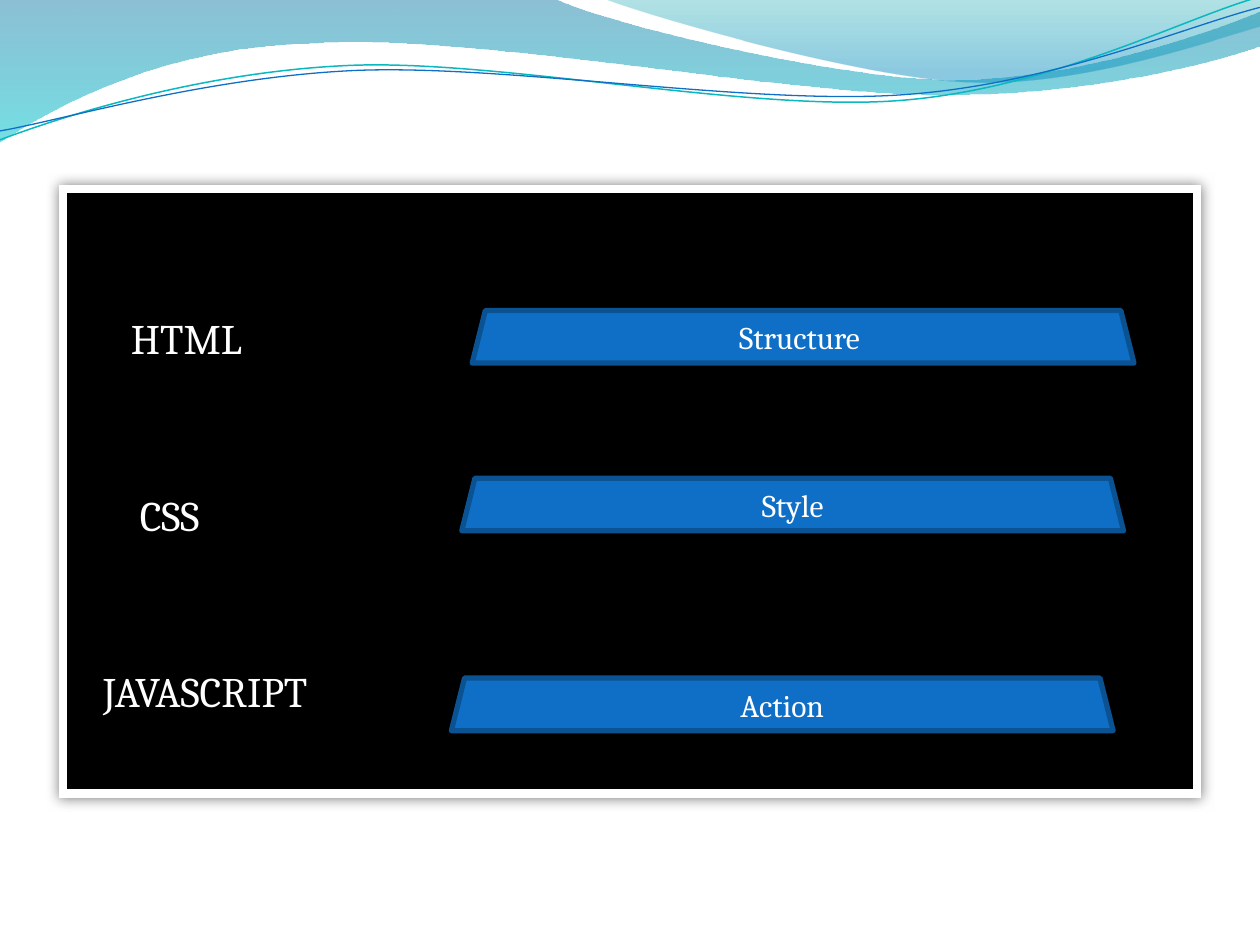
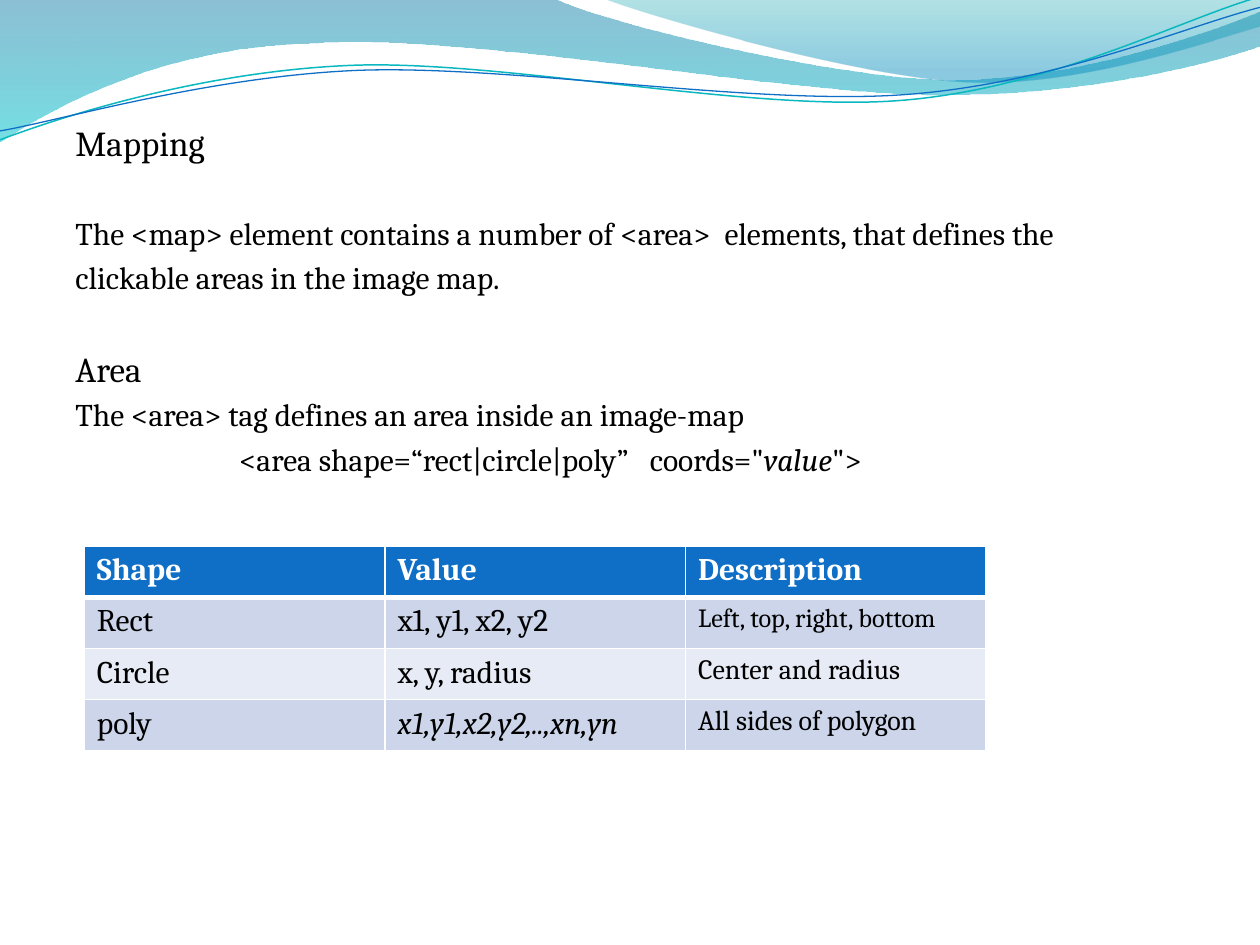
import pptx
import pptx.dml.color
import pptx.enum.shapes
import pptx.enum.text
import pptx.oxml
import pptx.oxml.ns
import pptx.util
from lxml import etree

Cm = pptx.util.Cm
Pt = pptx.util.Pt
RGBColor = pptx.dml.color.RGBColor
SHAPES = pptx.enum.shapes.MSO_SHAPE
ALIGN = pptx.enum.text.PP_ALIGN
ANCHOR = pptx.enum.text.MSO_ANCHOR
qn = pptx.oxml.ns.qn

FONT = "Cambria"
BLACK = RGBColor(0x00, 0x00, 0x00)
WHITE = RGBColor(0xFF, 0xFF, 0xFF)
BLUE = RGBColor(0x0F, 0x6F, 0xC6)
DARK_BLUE = RGBColor(0x0B, 0x52, 0x92)
TURQUOISE = RGBColor(0x0A, 0xB8, 0xBF)
WAVE_BLUE = RGBColor(0x00, 0x74, 0xA1)
WAVE_CYAN = RGBColor(0x00, 0xC6, 0xCF)
CREST_GREEN = RGBColor(0x00, 0xA1, 0xA9)
CREST_BLUE = RGBColor(0x00, 0x8B, 0xBF)
BAND_DARK = RGBColor(0xCC, 0xD5, 0xEA)
BAND_LIGHT = RGBColor(0xE7, 0xEB, 0xF5)

WAVES = [
    ((0, 0), [
        [(11.18, -0.03)],
        [(12.09, 0.43), (16.87, 1.6), (19.25, 1.6)],
        [(21.67, 1.6), (24.33, 0.66), (25.4, 0.23)],
        [(25.43, 0.91)],
        [(24.97, 1.12), (22.1, 1.93), (18.95, 1.91)],
        [(15.8, 1.91), (9.7, 0.71), (6.53, 0.86)],
        [(3.28, 0.91), (1.17, 2.11), (-0.03, 2.87)],
    ], [(0, WAVE_BLUE, 45), (1, WAVE_CYAN, 55)]),
    ((12.17, -0.03), [
        [(12.93, 0.28), (17.32, 1.57), (19.53, 1.65)],
        [(21.74, 1.75), (24.41, 0.81), (25.4, 0.53)],
        [(25.4, 0)],
    ], [(0, CREST_GREEN, 30), (0.8, CREST_BLUE, 45)]),
]
RIPPLES = [
    ((0, 2.82), [
        [(1.22, 2.36), (4.01, 1.45), (7.04, 1.32)],
        [(10.03, 1.19), (15.06, 2.26), (18.11, 2.03)],
        [(21.16, 1.8), (23.83, 0.38), (25.35, -0.05)],
    ], TURQUOISE, 0.85),
    ((0, 2.64), [
        [(1.19, 2.44), (4.17, 1.55), (7.19, 1.42)],
        [(10.24, 1.3), (15.16, 2.13), (18.21, 1.91)],
        [(21.23, 1.7), (23.9, 0.53), (25.4, 0.15)],
    ], BLUE, 0.75),
]

LANGUAGES = [
    ("HTML", {"indent": 1.12}),
    ("CSS", {"indent": 1.3, "before": 71.9}),
    ("JAVASCRIPT", {"indent": 0.56, "before": 71.9}),
]
ROLES = [("Structure ", 9.52, 6.26), ("Style", 9.31, 9.64), ("Action", 9.1, 13.67)]

AREA_CODE = [
    ("<area shape=“rect|circle|poly”", {}),
    (" ", {"spacing": 8}),
    ('coords="', {}),
    ("value", {"italic": True}),
    ('">', {}),
]
MAPPING = [
    ("Mapping", {"size": 20}),
    ("The <map> element contains a number of <area>  elements, that defines the", {"before": 28.9}),
    ("clickable areas in the image map.", {"before": 3.6}),
    ("Area", {"size": 20, "before": 29.4}),
    ("The <area> tag defines an area inside an image-map", {"before": 3.2}),
    (AREA_CODE, {"before": 4, "indent": 3.3}),
]

AREA_TABLE = [
    ["Shape", "Value", "Description"],
    ["Rect", "x1, y1, x2, y2", "Left, top, right, bottom"],
    ["Circle", "x, y, radius", "Center and radius"],
    ["poly", "x1,y1,x2,y2,..,xn,yn", "All sides of polygon"],
]
CELL_FORMATS = {
    (1, 2): {"size": 15},
    (2, 2): {"size": 16},
    (3, 1): {"italic": True},
    (3, 2): {"size": 16},
}
COLUMN_WIDTH, ROW_HEIGHT = 6.06, 1.03


def write_paragraph(paragraph, text, size=18, color=BLACK, bold=False, italic=False,
                    align=ALIGN.LEFT, before=0, indent=0):
    paragraph.alignment = align
    paragraph.space_before = Pt(before)
    if indent:
        paragraph._p.get_or_add_pPr().set("marL", str(Cm(indent)))
    pieces = [(text, {})] if isinstance(text, str) else text
    for words, style in pieces:
        run = paragraph.add_run()
        run.text = words
        run.font.name = FONT
        run.font.size = Pt(size)
        run.font.color.rgb = color
        run.font.bold = bold
        run.font.italic = style.get("italic", italic)
        if "spacing" in style:
            run._r.get_or_add_rPr().set("spc", str(style["spacing"] * 100))


def write_paragraphs(frame, paragraphs, **shared):
    frame.word_wrap = True
    for index, (text, style) in enumerate(paragraphs):
        paragraph = frame.add_paragraph() if index else frame.paragraphs[0]
        write_paragraph(paragraph, text, **{**shared, **style})


def add_block(slide, preset, left, top, width, height, fill, line, line_width):
    shape = slide.shapes.add_shape(preset, Cm(left), Cm(top), Cm(width), Cm(height))
    shape.shadow.inherit = False
    shape.fill.solid()
    shape.fill.fore_color.rgb = fill
    shape.line.color.rgb = line
    shape.line.width = Pt(line_width)
    return shape


def add_outline(slide, start, segments, close):
    builder = slide.shapes.build_freeform(Cm(start[0]), Cm(start[1]))
    points = [(Cm(x), Cm(y)) for segment in segments for x, y in segment]
    builder.add_line_segments(points, close=close)
    shape = builder.convert_to_shape()
    shape.shadow.inherit = False
    steps = iter(list(shape._element.spPr.iter(qn("a:lnTo"))))
    for segment in segments:
        parts = [next(steps) for _ in segment]
        if len(parts) == 3:
            curve = etree.Element(qn("a:cubicBezTo"))
            parts[0].addprevious(curve)
            for part in parts:
                curve.append(part[0])
                part.getparent().remove(part)
    return shape


def add_wave_header(slide):
    for start, segments, stops in WAVES:
        wave = add_outline(slide, start, segments, close=True)
        wave.line.fill.background()
        wave.fill.gradient()
        wave.fill.gradient_angle = 270
        for stop, (position, color, _) in zip(wave.fill.gradient_stops, stops):
            stop.position = position
            stop.color.rgb = color
        colors = list(wave._element.spPr.iter(qn("a:srgbClr")))
        for element, (_, _, opacity) in zip(colors, stops):
            etree.SubElement(element, qn("a:alpha"), val=str(opacity * 1000))
    for start, segments, color, width in RIPPLES:
        ripple = add_outline(slide, start, segments, close=False)
        ripple.fill.background()
        ripple.line.color.rgb = color
        ripple.line.width = Pt(width)


def add_soft_shadow(shape):
    effects = shape._element.spPr.find(qn("a:effectLst"))
    effects.append(pptx.oxml.parse_xml(
        f'<a:outerShdw {pptx.oxml.ns.nsdecls("a")} blurRad="{Pt(7.5)}" dist="0" dir="0" '
        'algn="ctr" rotWithShape="0"><a:srgbClr val="000000"><a:alpha val="50000"/>'
        '</a:srgbClr></a:outerShdw>'))


def set_borders(cell, widths):
    properties = cell._tc.get_or_add_tcPr()
    for index, (side, width) in enumerate(zip(("lnL", "lnR", "lnT", "lnB"), widths)):
        properties.insert(index, pptx.oxml.parse_xml(
            f'<a:{side} {pptx.oxml.ns.nsdecls("a")} w="{Pt(width)}"><a:solidFill>'
            f'<a:srgbClr val="{WHITE}"/></a:solidFill></a:{side}>'))


def add_area_table(slide):
    rows, columns = len(AREA_TABLE), len(AREA_TABLE[0])
    table = slide.shapes.add_table(rows, columns, Cm(1.7), Cm(11.01), Cm(COLUMN_WIDTH * columns),
                                   Cm(ROW_HEIGHT * rows)).table
    for row_index, row in enumerate(AREA_TABLE):
        header = row_index == 0
        band = BLUE if header else BAND_DARK if row_index % 2 else BAND_LIGHT
        top = 3 if row_index == 1 else 1
        bottom = 3 if header else 1
        for column_index, text in enumerate(row):
            cell = table.cell(row_index, column_index)
            cell.fill.solid()
            cell.fill.fore_color.rgb = band
            set_borders(cell, (1, 1, top, bottom))
            write_paragraph(cell.text_frame.paragraphs[0], text, bold=header,
                            color=WHITE if header else BLACK,
                            **CELL_FORMATS.get((row_index, column_index), {}))


def build_languages_slide(slide):
    panel = add_block(slide, SHAPES.RECTANGLE, 1.27, 3.81, 22.86, 12.19, BLACK, WHITE, 5)
    etree.SubElement(panel.line._get_or_add_ln(), qn("a:miter"), lim="800000")
    add_soft_shadow(panel)
    panel.text_frame.vertical_anchor = ANCHOR.TOP
    panel.text_frame.margin_top = Cm(2.5)
    write_paragraphs(panel.text_frame, LANGUAGES, size=24, color=WHITE)
    for role, left, top in ROLES:
        bar = add_block(slide, SHAPES.TRAPEZOID, left, top, 13.34, 1.06, BLUE, DARK_BLUE, 3)
        bar.text_frame.vertical_anchor = ANCHOR.MIDDLE
        write_paragraphs(bar.text_frame, [(role, {})], color=WHITE, align=ALIGN.CENTER)


def build_mapping_slide(slide):
    body = slide.shapes.add_textbox(Cm(1.27), Cm(2.32), Cm(22.86), Cm(15.67))
    write_paragraphs(body.text_frame, MAPPING)
    add_area_table(slide)


def main():
    presentation = pptx.Presentation()
    presentation.slide_width = Cm(25.4)
    presentation.slide_height = Cm(19.05)
    for build_slide in (build_languages_slide, build_mapping_slide):
        slide = presentation.slides.add_slide(presentation.slide_layouts[6])
        add_wave_header(slide)
        build_slide(slide)
    presentation.save("out.pptx")


if __name__ == "__main__":
    main()
